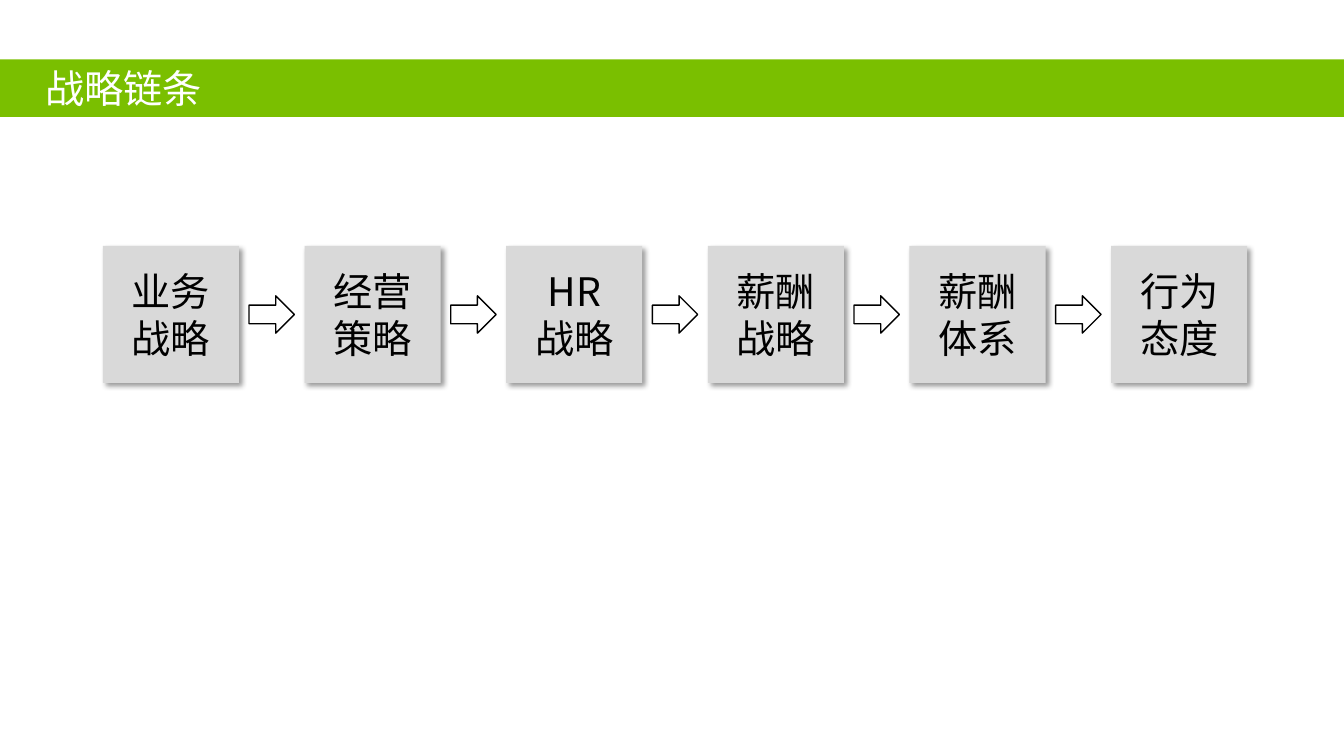
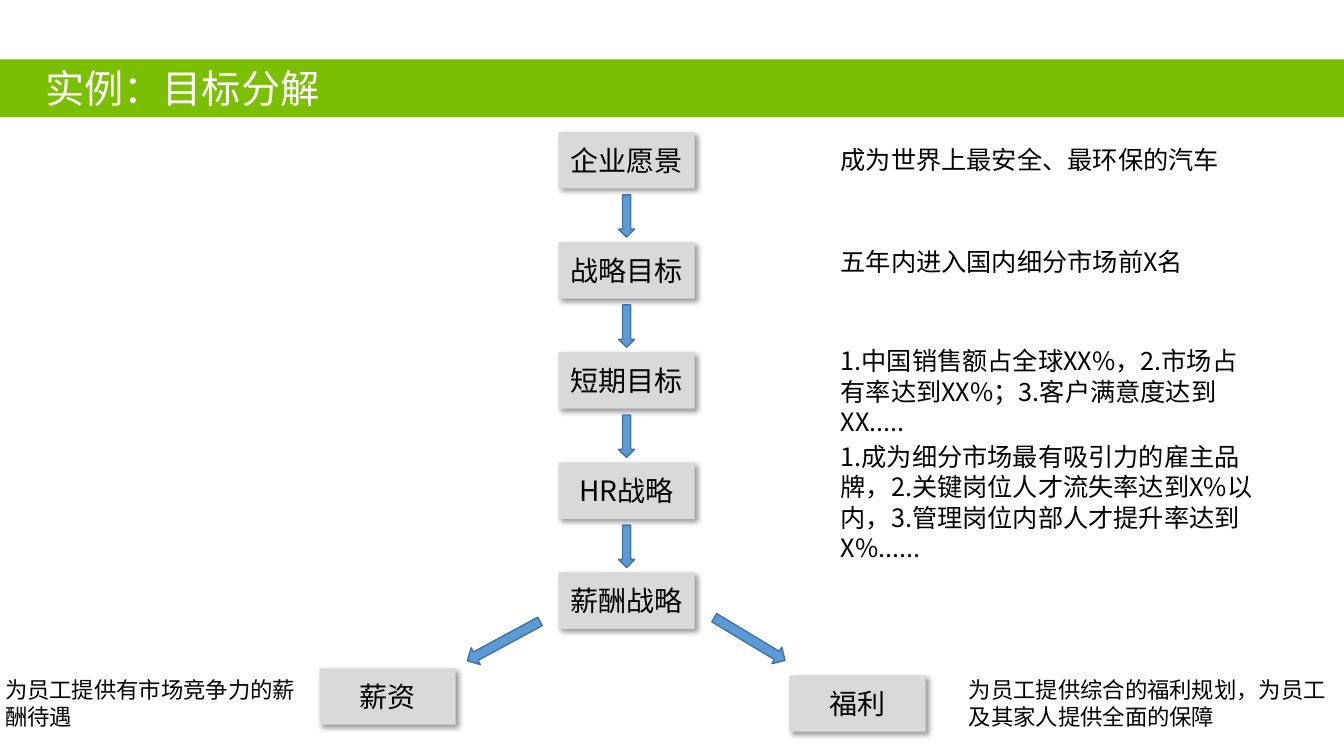
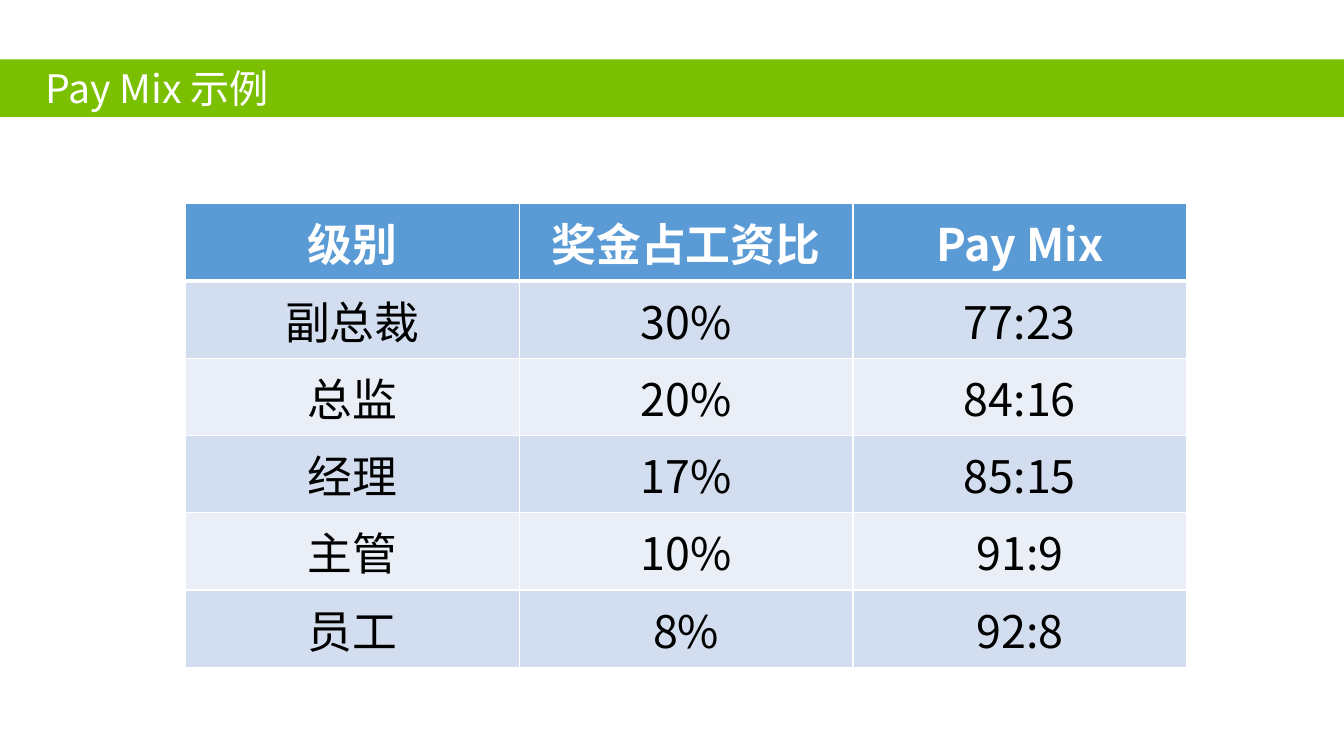
from dataclasses import dataclass

from lxml.etree import SubElement
from pptx import Presentation
from pptx.dml.color import RGBColor
from pptx.enum.shapes import MSO_SHAPE
from pptx.enum.text import MSO_ANCHOR, PP_ALIGN
from pptx.oxml import parse_xml
from pptx.oxml.ns import nsdecls, qn
from pptx.util import Pt

PX = 9144  # EMU in one px, 100 px to the inch


@dataclass(frozen=True)
class Theme:
    font: str = "Noto Sans CJK SC"
    green: str = "7ABF00"
    grey: str = "D9D9D9"
    blue: str = "5B9BD5"
    edge: str = "43739E"
    odd: str = "D2DEEF"
    even: str = "EAEFF7"
    black: str = "000000"
    white: str = "FFFFFF"
    title: int = 28
    step: int = 28
    node: int = 20
    note: int = 18
    small: int = 16
    cell: int = 32


T = Theme()
WIDE, HIGH = 1333, 750
PLAIN = {"word_wrap": True, "vertical_anchor": MSO_ANCHOR.TOP}
MID = {"word_wrap": True, "vertical_anchor": MSO_ANCHOR.MIDDLE}


# Shared helpers
def emu(*vals):
    return [round(v * PX) for v in vals]


def rgb(code):
    return RGBColor.from_string(code)


def apply(item, form):
    for key, val in form.items():
        setattr(item, key, val)


def write(frame, text, size, color=T.black, align=PP_ALIGN.LEFT, bold=False):
    """Fill a text frame, one paragraph a line."""
    form = {"name": T.font, "size": Pt(size), "bold": bold}
    for i, line in enumerate(text.split("\n")):
        para = frame.add_paragraph() if i else frame.paragraphs[0]
        para.alignment = align
        run = para.add_run()
        run.text = line
        apply(run.font, form)
        run.font.color.rgb = rgb(color)
        SubElement(run.font._element, qn("a:ea"), typeface=T.font)


def draw(slide, kind, box, fill=None, line=None, turn=0):
    """Add a preset shape without a shadow."""
    shape = slide.shapes.add_shape(kind, *emu(*box))
    shape.shadow.inherit = False
    shape.rotation = turn
    if fill:
        shape.fill.solid()
        shape.fill.fore_color.rgb = rgb(fill)
    else:
        shape.fill.background()
    if line:
        shape.line.color.rgb = rgb(line)
        shape.line.width = Pt(1)
    else:
        shape.line.fill.background()
    return shape


def shade(shape):
    """Cast a soft shadow to the lower right."""
    glow = parse_xml(
        f'<a:outerShdw {nsdecls("a")} blurRad="50800" dist="38100" dir="2700000" '
        f'algn="tl" rotWithShape="0"><a:srgbClr val="{T.black}">'
        '<a:alpha val="40000"/></a:srgbClr></a:outerShdw>')
    shape._element.spPr.find(qn("a:effectLst")).append(glow)


def card(slide, box, text, size):
    shape = draw(slide, MSO_SHAPE.RECTANGLE, box, T.grey)
    shade(shape)
    apply(shape.text_frame, MID)
    write(shape.text_frame, text, size, align=PP_ALIGN.CENTER)


def note(slide, box, text, size, left=10):
    frame = slide.shapes.add_textbox(*emu(*box)).text_frame
    apply(frame, PLAIN | {"margin_left": left * PX})
    write(frame, text, size)


def page(deck, title):
    """Start a slide with its title band."""
    slide = deck.slides.add_slide(deck.slide_layouts[6])
    band = draw(slide, MSO_SHAPE.RECTANGLE, (0, 59, WIDE, 57), T.green)
    apply(band.text_frame, PLAIN | {"margin_left": 45 * PX})
    write(band.text_frame, title, T.title, T.white)
    return slide


# Row of cards with an arrow in each gap
def chain(slide, box, names):
    x, y, w, h = box
    side, aw, ah = 135, 45, 37
    pitch = (w - side) / (len(names) - 1)
    for i, name in enumerate(names):
        left = x + i * pitch
        card(slide, (left, y, side, h), name, T.step)
        if i:
            mid = left - (pitch - side) / 2
            draw(slide, MSO_SHAPE.RIGHT_ARROW,
                 (mid - aw / 2, y + (h - ah) / 2, aw, ah), line=T.black)


# Column of cards with an arrow in each gap
def stack(slide, box, names):
    x, y, w, h = box
    tall, aw, ah = 56, 16, 42
    pitch = (h - tall) / (len(names) - 1)
    for i, name in enumerate(names):
        top = y + i * pitch
        card(slide, (x, top, w, tall), name, T.node)
        if i:
            draw(slide, MSO_SHAPE.DOWN_ARROW,
                 (x + (w - aw) / 2, top - 47, aw, ah), T.blue, T.edge)


# Two branches below the column
def fork(slide, box, names):
    x, y, w, h = box
    cw, ch = 135, 56
    spots = ((x, y, 490, 595, 61.6), (x + w - cw, y + h - ch, 734, 593, 301.1))
    for name, (left, top, ax, ay, turn) in zip(names, spots):
        card(slide, (left, top, cw, ch), name, T.node)
        draw(slide, MSO_SHAPE.DOWN_ARROW, (ax, ay, 19, 82), T.blue, T.edge, turn)


# Table with banded rows
def rule(cell, side, width):
    props = cell._tc.get_or_add_tcPr()
    line = SubElement(props, qn(f"a:ln{side}"), w=str(Pt(width)))
    fill = SubElement(line, qn("a:solidFill"))
    SubElement(fill, qn("a:srgbClr"), val=T.white)


def grid(slide, box, rows):
    table = slide.shapes.add_table(len(rows), len(rows[0]), *emu(*box)).table
    for r, row in enumerate(rows):
        head = r == 0
        color = T.blue if head else T.odd if r % 2 else T.even
        for c, text in enumerate(row):
            cell = table.cell(r, c)
            for side in "LRTB":
                thick = (side == "B" and head) or (side == "T" and r == 1)
                rule(cell, side, 3 if thick else 1)
            cell.fill.solid()
            cell.fill.fore_color.rgb = rgb(color)
            cell.vertical_anchor = MSO_ANCHOR.MIDDLE
            write(cell.text_frame, text, T.cell, T.white if head else T.black,
                  PP_ALIGN.CENTER, head)


STEPS = ["业务战略", "经营策略", "HR\n战略", "薪酬战略", "薪酬体系", "行为态度"]
GOALS = ["企业愿景", "战略目标", "短期目标", "HR战略", "薪酬战略"]
NOTES = [
    (138, 402, 40, "成为世界上最安全、最环保的汽车"),
    (239, 402, 40, "五年内进入国内细分市场前X名"),
    (338, 434, 71, "1.中国销售额占全球XX%，2.市场占有率达到XX%；3.客户满意度达到XX....."),
    (433, 434, 131, "1.成为细分市场最有吸引力的雇主品牌，2.关键岗位人才流失率达到X%以内，"
                    "3.管理岗位内部人才提升率达到X%......"),
]
ROWS = [
    ("级别", "奖金占工资比", "Pay Mix"),
    ("副总裁", "30%", "77:23"),
    ("总监", "20%", "84:16"),
    ("经理", "17%", "85:15"),
    ("主管", "10%", "91:9"),
    ("员工", "8%", "92:8"),
]


def main():
    deck = Presentation()
    deck.slide_width, deck.slide_height = emu(WIDE, HIGH)

    # Strategy chain
    chain(page(deck, "战略链条"), (102, 244, 1135, 136), STEPS)

    # Goals broken down
    slide = page(deck, "实例：目标分解")
    stack(slide, (554, 131, 135, 493), GOALS)
    for top, wide, tall, text in NOTES:
        note(slide, (824, top, wide, tall), text, T.note)
    fork(slide, (317, 663, 601, 63), ["薪资", "福利"])
    note(slide, (0, 666, 307, 64), "为员工提供有市场竞争力的薪酬待遇", T.small, 5)
    note(slide, (951, 666, 382, 64),
         "为员工提供综合的福利规划，为员工及其家人提供全面的保障", T.small)

    # Pay mix
    grid(page(deck, "Pay Mix 示例"), (184, 202, 993, 460), ROWS)

    deck.save("out.pptx")


if __name__ == "__main__":
    main()
